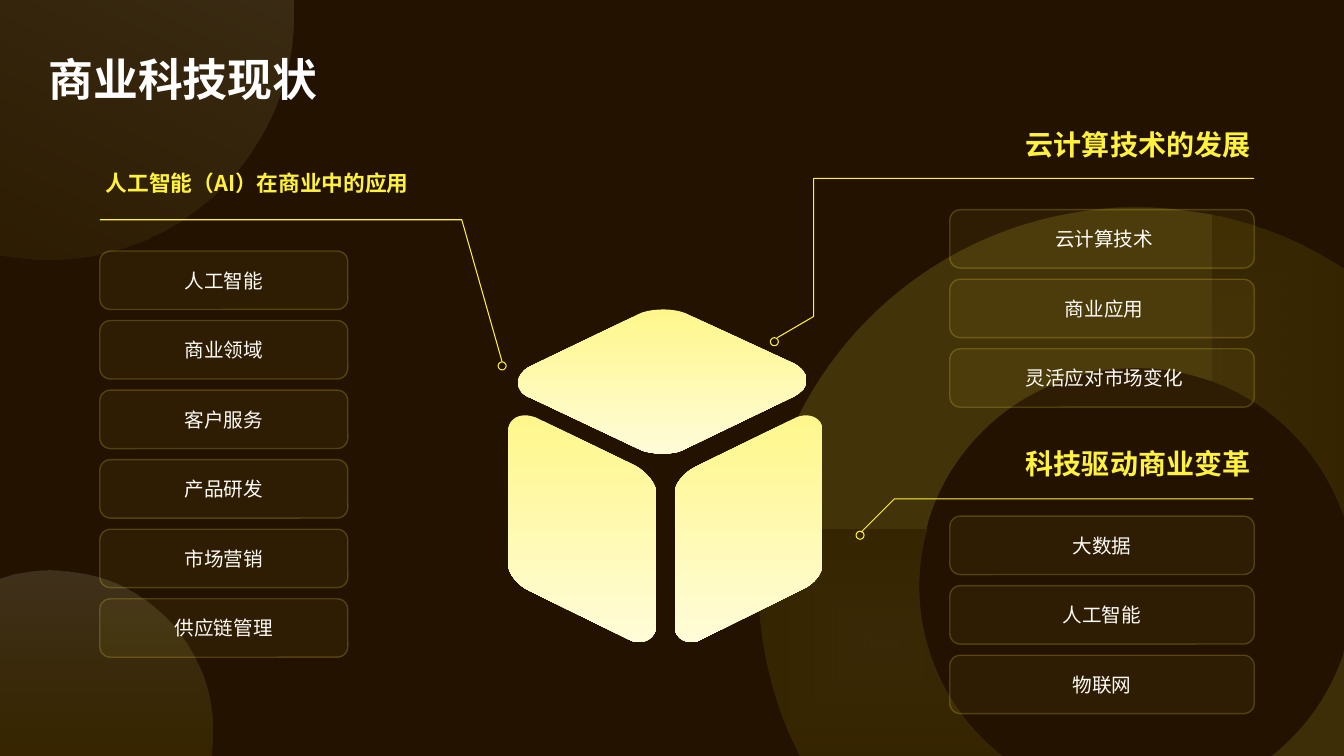
import math
from dataclasses import dataclass

import lxml.etree
import pptx
import pptx.dml.color
import pptx.enum.shapes
import pptx.enum.text
import pptx.oxml.ns
import pptx.util

Inches, Pt = pptx.util.Inches, pptx.util.Pt
SHAPE = pptx.enum.shapes.MSO_SHAPE
ALIGN = pptx.enum.text.PP_ALIGN
qn = pptx.oxml.ns.qn
CJK = "Noto Sans CJK SC"
YELLOW, DARK, CREAM = "FFF23E", "231200", "FFFCD8"


@dataclass
class Paint:
    colors: tuple
    opacity: tuple = (100, 100)
    radial: bool = False


@dataclass
class Outline:
    points: list
    paint: Paint
    rotation: float = 0
    pivot: tuple = (0, 0)


@dataclass
class Callout:
    line: list
    ring: tuple
    heading: str
    box: tuple
    size: float
    align: int
    left: float
    top: float
    width: float
    cards: list


RADIAL = Paint((YELLOW, "C5B700"), (70, 77), True)
FACE = Paint(("FFF78B", CREAM))

BACKDROP = [
    Outline([(13.33, 6.45), (13.33, 7.5), (12.61, 7.5), (12.66, 7.46),
             (12.96, 7.21, 13.19, 6.88, 13.32, 6.5)], Paint((YELLOW,), (85,))),
    Outline([(7.57, 5.25), (9.19, 5.25), (9.16, 5.37), (9.13, 5.51, 9.11, 5.66, 9.11, 5.81),
             (9.11, 6.48, 9.42, 7.08, 9.9, 7.47), (9.94, 7.5), (7.93, 7.5), (7.82, 7.27),
             (7.63, 6.82, 7.52, 6.32, 7.52, 5.81), (7.52, 5.68, 7.53, 5.55, 7.54, 5.42)], RADIAL),
    Outline([(11.27, 2.06), (11.92, 2.06, 12.53, 2.22, 13.06, 2.51), (13.33, 2.67),
             (13.33, 5.14), (13.26, 4.97), (12.93, 4.19, 12.17, 3.65, 11.27, 3.65),
             (11.12, 3.65, 10.98, 3.66, 10.84, 3.69), (10.69, 3.73), (10.69, 2.11),
             (10.89, 2.08), (11.02, 2.06, 11.14, 2.06, 11.27, 2.06)], RADIAL),
    Outline([(11.27, 2.06), (11.4, 2.06, 11.53, 2.06, 11.66, 2.08), (12.02, 2.13),
             (12.02, 3.78), (11.91, 3.75), (11.71, 3.68, 11.5, 3.65, 11.27, 3.65),
             (10.3, 3.65, 9.48, 4.29, 9.21, 5.16), (9.19, 5.25), (7.57, 5.25), (7.6, 5.05),
             (7.95, 3.34, 9.46, 2.06, 11.27, 2.06)], Paint((YELLOW,))),
    Outline([(0, 0), (2.91, 0), (2.91, 0.01), (2.93, 0.4, 2.86, 0.8, 2.68, 1.18),
             (2.21, 2.17, 1.17, 2.7, 0.14, 2.55), (0, 2.53)],
            Paint((CREAM, "9E9400"), (80, 50)), 25.3, (1.1, 1.1)),
    Outline([(0.58, 5.66), (0.84, 5.67, 1.1, 5.74, 1.33, 5.88),
             (1.9, 6.23, 2.18, 6.86, 2.09, 7.48), (2.09, 7.5), (0, 7.5), (0, 5.74),
             (0.12, 5.7), (0.27, 5.67, 0.42, 5.65, 0.58, 5.66)],
            Paint((CREAM, "DECF00"), (90, 70))),
]

CUBE = [
    Outline([(6.57, 4.5), (6.5, 4.5, 6.43, 4.49, 6.37, 4.47), (5.27, 3.95),
             (5.18, 3.92, 5.14, 3.86, 5.14, 3.8), (5.14, 3.73, 5.18, 3.68, 5.25, 3.64),
             (6.37, 3.1), (6.43, 3.08, 6.51, 3.07, 6.58, 3.07),
             (6.65, 3.07, 6.72, 3.08, 6.78, 3.1), (7.88, 3.61),
             (7.95, 3.65, 8, 3.71, 8, 3.77), (8, 3.84, 7.95, 3.89, 7.88, 3.93),
             (6.76, 4.47), (6.72, 4.49, 6.64, 4.5, 6.57, 4.5)], FACE),
    Outline([(6.34, 6.37), (6.3, 6.37, 6.27, 6.36, 6.23, 6.34), (5.25, 5.86),
             (5.14, 5.81, 5.04, 5.69, 5.04, 5.6), (5.04, 4.28),
             (5.04, 4.18, 5.11, 4.12, 5.21, 4.12), (5.24, 4.12, 5.28, 4.13, 5.31, 4.14),
             (6.3, 4.62), (6.41, 4.68, 6.51, 4.8, 6.51, 4.89), (6.51, 6.2),
             (6.51, 6.3, 6.43, 6.37, 6.34, 6.37)], FACE),
    Outline([(6.86, 6.37), (6.76, 6.37, 6.69, 6.3, 6.69, 6.21), (6.69, 4.9),
             (6.69, 4.8, 6.78, 4.69, 6.9, 4.63), (7.9, 4.14),
             (7.92, 4.13, 7.97, 4.12, 7.99, 4.12), (8.09, 4.12, 8.16, 4.18, 8.16, 4.28),
             (8.16, 5.58), (8.16, 5.69, 8.08, 5.79, 7.95, 5.85), (6.96, 6.34),
             (6.93, 6.36, 6.9, 6.37, 6.86, 6.37)], FACE),
]

CALLOUTS = [
    Callout([(0.99, 2.18), (4.58, 2.18), (4.98, 3.59)], (4.94, 3.59),
            "人工智能（AI）在商业中的应用", (0.95, 1.59, 3.52, 0.44), 15.5, ALIGN.LEFT,
            0.99, 2.49, 2.46,
            ["人工智能", "商业领域", "客户服务", "产品研发", "市场营销", "供应链管理"]),
    Callout([(7.71, 3.35), (8.07, 3.14), (8.07, 1.77), (12.44, 1.77)], (7.64, 3.35),
            "云计算技术的发展", (9.03, 1.21, 3.47, 0.44), 20, ALIGN.RIGHT,
            9.42, 2.08, 3.02, [" 云计算技术", " 商业应用", " 灵活应对市场变化"]),
    Callout([(8.54, 5.28), (8.87, 4.95), (12.43, 4.95)], (8.49, 5.27),
            "科技驱动商业变革", (9.03, 4.38, 3.47, 0.44), 20, ALIGN.RIGHT,
            9.42, 5.12, 3.02, ["大数据", "人工智能", "物联网"]),
]


def rgb(color: str):
    return pptx.dml.color.RGBColor.from_string(color)


def set_alpha(parent, opacity: tuple) -> None:
    for clr, value in zip(parent.iter(qn("a:srgbClr")), opacity):
        if value < 100:
            lxml.etree.SubElement(clr, qn("a:alpha")).set("val", str(value * 1000))


def set_fill(sp, paint: Paint) -> None:
    if len(paint.colors) == 1:
        sp.fill.solid()
        sp.fill.fore_color.rgb = rgb(paint.colors[0])
    else:
        sp.fill.gradient()
        sp.fill.gradient_angle = 270
        for stop, color, position in zip(sp.fill.gradient_stops, paint.colors, (0, 1)):
            stop.color.rgb = rgb(color)
            stop.position = position
    if paint.radial:
        lin = next(sp._element.spPr.iter(qn("a:lin")))
        radial = lxml.etree.Element(qn("a:path"), {"path": "shape"})
        lxml.etree.SubElement(radial, qn("a:fillToRect"), {side: "50000" for side in "ltrb"})
        lin.getparent().replace(lin, radial)
    set_alpha(sp._element.spPr, paint.opacity)


def set_line(sp, width: float, opacity: int = 100) -> None:
    sp.line.color.rgb = rgb(YELLOW)
    sp.line.width = Pt(width)
    set_alpha(sp.line._ln, (opacity,))


def unrotate(point: tuple, degrees: float, pivot: tuple) -> tuple:
    cos, sin = math.cos(math.radians(degrees)), math.sin(math.radians(degrees))
    turned = []
    for x, y in zip(point[::2], point[1::2]):
        dx, dy = x - pivot[0], y - pivot[1]
        turned += [pivot[0] + dx * cos + dy * sin, pivot[1] - dx * sin + dy * cos]
    return tuple(turned)


def add_path(s, points: list, close: bool):
    nodes = [tuple(map(Inches, point)) for point in points]
    ends = [node[-2:] for node in nodes]
    builder = s.shapes.build_freeform(*ends[0])
    builder.add_line_segments(ends[1:], close=close)
    sp = builder.convert_to_shape()
    sp.shadow.inherit = False
    segments = list(sp._element.iter(qn("a:lnTo")))
    for node, segment in zip(nodes[1:], segments):
        if len(node) == 6:
            curve = lxml.etree.Element(qn("a:cubicBezTo"))
            for x, y in zip(node[::2], node[1::2]):
                lxml.etree.SubElement(curve, qn("a:pt"),
                                      {"x": str(x - sp.left), "y": str(y - sp.top)})
            segment.getparent().replace(segment, curve)
    return sp


def add_outline(s, outline: Outline) -> None:
    points = [unrotate(point, outline.rotation, outline.pivot) for point in outline.points]
    sp = add_path(s, points, True)
    sp.rotation = outline.rotation
    set_fill(sp, outline.paint)
    sp.line.fill.background()


def add_preset(s, kind, *box: float):
    sp = s.shapes.add_shape(kind, *map(Inches, box))
    sp.shadow.inherit = False
    return sp


def write(sp, text: str, *, size: float, color: str, align=ALIGN.LEFT, bold: bool = False,
          font: str = CJK, spacing: float | None = None) -> None:
    tf = sp.text_frame
    tf.word_wrap = True
    tf.vertical_anchor = pptx.enum.text.MSO_ANCHOR.MIDDLE
    p = tf.paragraphs[0]
    p.alignment = align
    p.line_spacing = spacing
    r = p.add_run()
    r.text = text
    r.font.size, r.font.bold, r.font.name = Pt(size), bold, font
    r.font.color.rgb = rgb(color)
    lxml.etree.SubElement(r.font._element, qn("a:ea")).set("typeface", CJK)


def add_callout(s, callout: Callout) -> None:
    ring = add_preset(s, SHAPE.OVAL, *callout.ring, 0.08, 0.08)
    for sp in (add_path(s, callout.line, False), ring):
        sp.fill.background()
        set_line(sp, 0.75)
    heading = s.shapes.add_textbox(*map(Inches, callout.box))
    write(heading, callout.heading, size=callout.size, color=YELLOW,
          align=callout.align, bold=True)
    for i, label in enumerate(callout.cards):
        card = add_preset(s, SHAPE.ROUNDED_RECTANGLE, callout.left, callout.top + 0.69 * i,
                          callout.width, 0.58)
        card.adjustments[0] = 0.18
        set_fill(card, Paint((YELLOW,), (5,)))
        set_line(card, 1, 20)
        write(card, label, size=14, color="FFFBF7", align=ALIGN.CENTER)


def main() -> None:
    prs = pptx.Presentation()
    prs.slide_width, prs.slide_height = Inches(13.33), Inches(7.5)
    s = prs.slides.add_slide(prs.slide_layouts[5])
    s.background.fill.solid()
    s.background.fill.fore_color.rgb = rgb(DARK)
    for outline in BACKDROP:
        add_outline(s, outline)
    veil = add_preset(s, SHAPE.RECTANGLE, 0, 0, 13.33, 7.5)
    set_fill(veil, Paint((DARK,), (85,)))
    veil.line.fill.background()
    for callout in CALLOUTS:
        add_callout(s, callout)
    for face in CUBE:
        add_outline(s, face)
    title = s.shapes.title
    title.left, title.top, title.width, title.height = map(Inches, (0.38, 0.33, 12.57, 0.79))
    write(title, "商业科技现状", size=32, color="FFFFFF", bold=True, font="Arial", spacing=1.2)
    s.shapes._spTree.append(title._element)
    prs.save("out.pptx")


if __name__ == "__main__":
    main()
